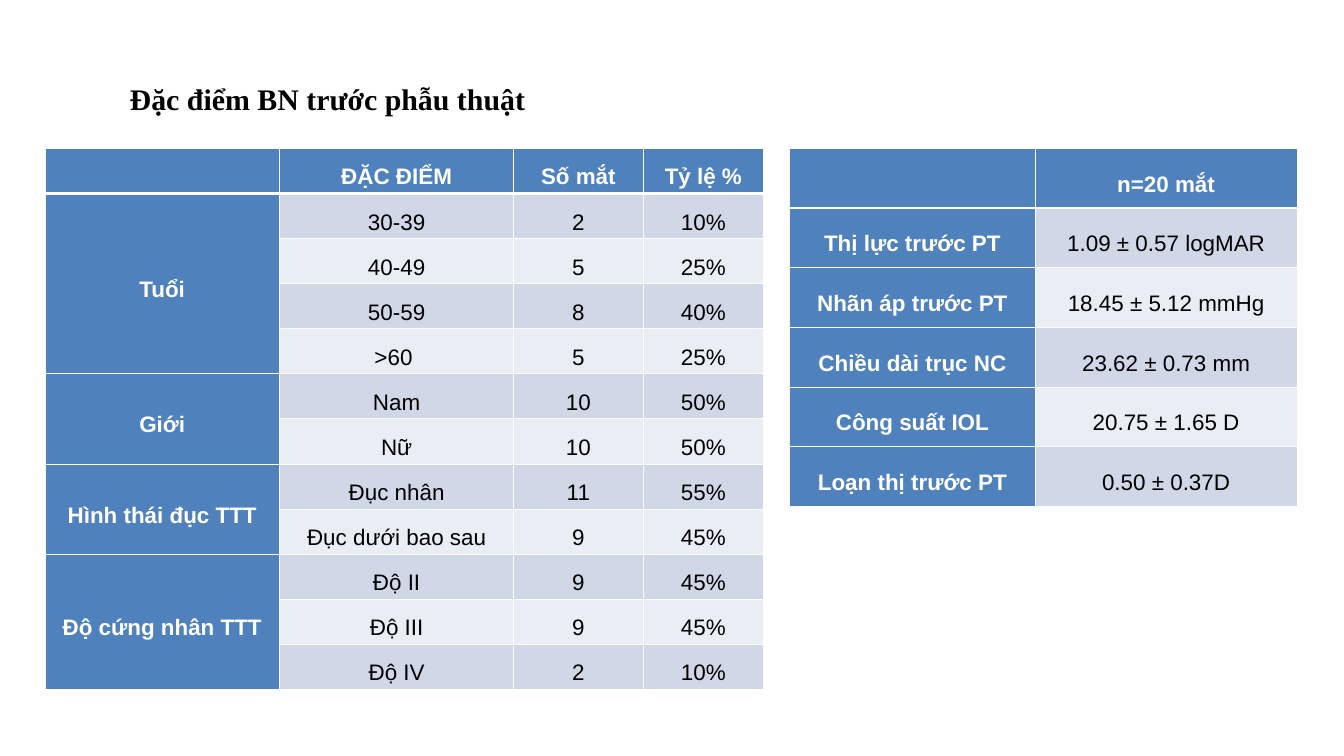
from lxml import etree
from pptx import Presentation
from pptx.dml.color import RGBColor
from pptx.enum.text import MSO_ANCHOR, PP_ALIGN
from pptx.oxml.ns import qn
from pptx.util import Cm, Pt

CENTER, JUSTIFY = PP_ALIGN.CENTER, PP_ALIGN.JUSTIFY
TOP, MIDDLE = MSO_ANCHOR.TOP, MSO_ANCHOR.MIDDLE

COLORS = {"head": "4F81BD", "odd": "D0D8E8", "even": "E9EDF4",
          "white": "FFFFFF", "black": "000000"}

TITLE = "Đặc điểm BN trước phẫu thuật"

PATIENT_HEADER = ["", "ĐẶC ĐIỂM", "Số mắt", "Tỷ lệ %"]
PATIENT_GROUPS = [
    ("Tuổi", [("30-39", "2", "10%"), ("40-49", "5", "25%"),
              ("50-59", "8", "40%"), (">60 ", "5", "25%")]),
    ("Giới", [("Nam", "10", "50%"), ("Nữ", "10", "50%")]),
    ("Hình thái đục TTT", [("Đục nhân", "11", "55%"),
                           ("Đục dưới bao sau", "9", "45%")]),
    ("Độ cứng nhân TTT", [("Độ II", "9", "45%"), ("Độ III", "9", "45%"),
                          ("Độ IV", "2", "10%")]),
]
EYE_HEADER = ["", "n=20 mắt"]
EYE_GROUPS = [
    ("Thị lực trước PT", [("1.09 ± 0.57 logMAR",)]),
    ("Nhãn áp trước PT", [("18.45 ± 5.12 mmHg",)]),
    ("Chiều dài trục NC", [("23.62 ± 0.73 mm",)]),
    ("Công suất IOL", [("20.75 ± 1.65 D",)]),
    ("Loạn thị trước PT", [("0.50 ± 0.37D",)]),
]

TABLE_TOP = 5.61
TABLES = [  # header, groups, left, height, column widths (cm)
    (PATIENT_HEADER, PATIENT_GROUPS, 1.7, 20.45, [8.86, 8.86, 4.88, 4.57]),
    (EYE_HEADER, EYE_GROUPS, 29.85, 13.54, [9.27, 9.91]),
]


def rgb(name):
    return RGBColor.from_string(COLORS[name])


def format_text(frame, font_name, size, color, bold, align):
    for para in frame.paragraphs:
        para.alignment = align
        para.line_spacing = 1.5
        for span in para.runs:
            span.font.name = font_name
            span.font.size = Pt(size)
            span.font.bold = bold
            span.font.color.rgb = rgb(color)


def add_borders(cell, top, bottom):
    """Draw white cell borders; must run before the fill is set."""
    properties = cell._tc.get_or_add_tcPr()
    for side, width in (("L", 1), ("R", 1), ("T", top), ("B", bottom)):
        line = etree.SubElement(properties, qn(f"a:ln{side}"), w=str(Pt(width)))
        fill = etree.SubElement(line, qn("a:solidFill"))
        etree.SubElement(fill, qn("a:srgbClr"), val=COLORS["white"])


def format_cell(cell, row, column):
    is_head = row == 0 or column == 0
    add_borders(cell, 3 if row == 1 else 1, 3 if row == 0 else 1)
    cell.fill.solid()
    cell.fill.fore_color.rgb = rgb("head" if is_head else "odd" if row % 2 else "even")
    cell.vertical_anchor = MIDDLE
    cell.margin_left = cell.margin_right = Cm(0.18)
    cell.margin_top = cell.margin_bottom = 0
    format_text(cell.text_frame, "Arial", 24, "white" if is_head else "black",
                is_head, CENTER)


def add_group_table(page, header, groups, left, height, widths):
    """Add a table whose first column names each group of rows."""
    rows = [header]
    for label, members in groups:
        rows += [["" if i else label, *member] for i, member in enumerate(members)]
    table = page.shapes.add_table(len(rows), len(widths), Cm(left), Cm(TABLE_TOP),
                                  Cm(sum(widths)), Cm(height)).table
    for column, width in zip(table.columns, widths):
        column.width = Cm(width)
    for r, values in enumerate(rows):
        table.rows[r].height = Cm(height / len(rows))
        for c, value in enumerate(values):
            cell = table.cell(r, c)
            cell.text_frame.text = value
            format_cell(cell, r, c)
    first = 1
    for _, members in groups:
        last = first + len(members) - 1
        if last > first:
            table.cell(first, 0).merge(table.cell(last, 0))
        first = last + 1


def add_title(page):
    title = page.shapes.title
    title.left, title.top, title.width, title.height = (
        Cm(4.65), Cm(2.24), Cm(15.6), Cm(2.06))
    frame = title.text_frame
    frame.text = TITLE
    frame.word_wrap = False
    frame.vertical_anchor = TOP
    format_text(frame, "Times New Roman", 32, "black", True, JUSTIFY)


def main():
    deck = Presentation()
    deck.slide_width, deck.slide_height = Cm(50.8), Cm(28.58)
    page = deck.slides.add_slide(deck.slide_layouts[5])
    add_title(page)
    for table in TABLES:
        add_group_table(page, *table)
    deck.save("out.pptx")


if __name__ == "__main__":
    main()
